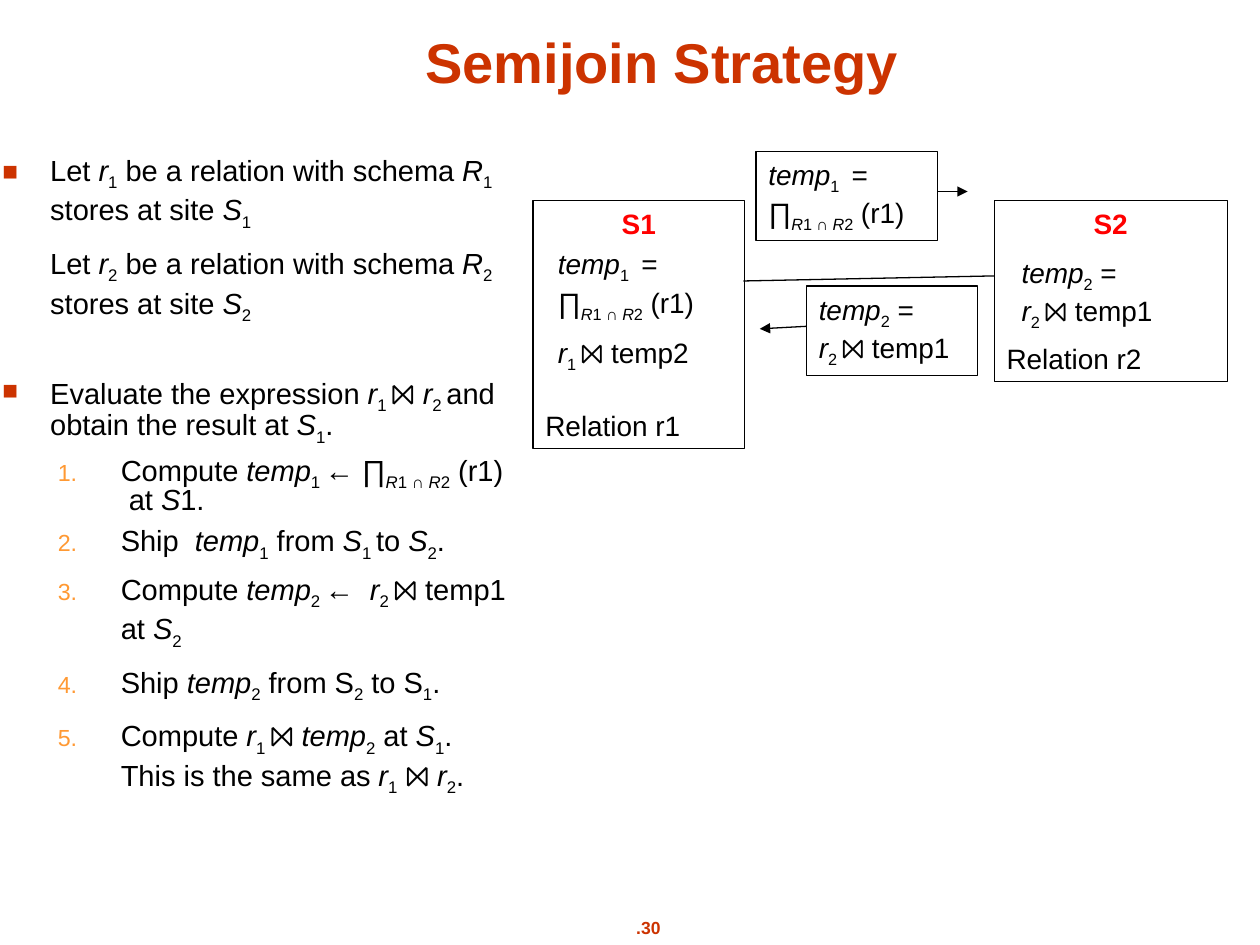
from lxml.etree import SubElement
from pptx import Presentation
from pptx.dml.color import RGBColor
from pptx.enum.shapes import MSO_CONNECTOR as Connector, MSO_SHAPE as Shape
from pptx.enum.text import MSO_ANCHOR as Anchor, MSO_AUTO_SIZE as Fit, PP_ALIGN as Align
from pptx.oxml.ns import qn
from pptx.util import Inches, Pt

COLUMNS, ROWS = 100, 75
CELL = Inches(0.1)
BLACK, RED, RUST, ORANGE = "000000", "FF0000", "CC3300", "FF9933"

PROJECTION = ["*temp*_1 _ =", "∏_*R*1 ∩ *R*2_ (r1)"]
REDUCTION = ["*temp*_2_ =", "*r*_2 _⨝ temp1"]
RELATIONS = [
    ("Let *r*_1_ be a relation with schema *R*_1_ stores at site *S*_1_", True, 1, 0),
    ("Let *r*_2_ be a relation with schema *R*_2_ stores at site *S*_2_", False, 1, 7.9),
    ("Evaluate the expression *r*_1 _⨝ *r*_2 _and obtain the result at *S*_1_.", True, 0.8, 31),
]
STEPS = [
    ("Compute *temp*_1 _← ∏_*R*1 ∩ *R*2_ (r1)  at *S*1.", 0.8),
    ("Ship  *temp*_1_ from *S*_1 _to *S*_2_.", 0.7),
    ("Compute *temp*_2 _←  *r*_2 _⨝ temp1 at *S*_2_", 1),
    ("Ship *temp*_2_ from S_2_ to S_1_.", 1),
    ("Compute *r*_1 _⨝ *temp*_2_ at *S*_1_. This is the same as *r*_1_ ⨝ *r*_2_.", 1),
]


def color(value):
    return RGBColor.from_string(value)


def cells(*counts):
    return [round(count * CELL) for count in counts]


def write(para, text, size=16, ink=BLACK, bold=False, align=Align.LEFT, before=0, spacing=1):
    para.alignment = align
    para.space_before = Pt(before)
    para.line_spacing = spacing
    for part_index, part in enumerate(text.split("_")):
        for piece_index, piece in enumerate(part.split("*")):
            if not piece:
                continue
            span = para.add_run()
            span.text = piece
            font = span.font
            font.name, font.size, font.bold = "Arial", Pt(size), bold
            font.italic = piece_index % 2 == 1
            font.color.rgb = color(ink)
            if part_index % 2:
                font._element.set("baseline", "-25000")


def next_para(frame):
    first = frame.paragraphs[0]
    return frame.add_paragraph() if first.runs else first


def indent(para, margin, hang):
    properties = para._p.get_or_add_pPr()
    properties.set("marL", str(Inches(margin)))
    properties.set("indent", str(-Inches(hang)))
    return properties


def add_bullet(properties, ink, percent, tag, **attributes):
    tint = SubElement(properties, qn("a:buClr"))
    SubElement(tint, qn("a:srgbClr"), val=ink)
    SubElement(properties, qn("a:buSzPct"), val=str(percent * 1000))
    SubElement(properties, qn("a:buFont"), typeface="Arial")
    SubElement(properties, qn(tag), **attributes)


def add_text(page, place, lines=(), fit=Fit.SHAPE_TO_FIT_TEXT, wrap=True, **style):
    box = page.shapes.add_textbox(*cells(*place))
    frame = box.text_frame
    frame.word_wrap = wrap
    frame.auto_size = fit
    for line in lines:
        write(next_para(frame), line, **style)
    return frame


def add_frame(page, place, lines=()):
    box = page.shapes.add_shape(Shape.RECTANGLE, *cells(*place))
    box.shadow.inherit = False
    box.fill.background()
    box.line.color.rgb = color(BLACK)
    box.line.width = Pt(0.75)
    frame = box.text_frame
    frame.word_wrap = True
    frame.auto_size = Fit.SHAPE_TO_FIT_TEXT
    frame.vertical_anchor = Anchor.TOP
    for line in lines:
        write(next_para(frame), line)
    return frame


def add_site(page, place, name, relation, gap):
    frame = add_frame(page, place)
    write(next_para(frame), name, ink=RED, bold=True, align=Align.CENTER)
    write(next_para(frame), relation, before=gap)


def add_line(page, ends, arrow=True):
    line = page.shapes.add_connector(Connector.STRAIGHT, *cells(*ends))
    line.line.color.rgb = color(BLACK)
    line.line.width = Pt(0.75)
    if arrow:
        SubElement(line.line._get_or_add_ln(), qn("a:tailEnd"), type="triangle")
    SubElement(line._element.spPr, qn("a:effectLst"))


def add_title(page, place, text):
    title = page.shapes.title
    title.left, title.top, title.width, title.height = cells(*place)
    title.text_frame.vertical_anchor = Anchor.BOTTOM
    write(title.text_frame.paragraphs[0], text, size=32, ink=RUST, bold=True, align=Align.CENTER)


def add_outline(page, place):
    frame = add_text(page, place, fit=Fit.NONE)
    for text, marked, spacing, before in RELATIONS:
        para = next_para(frame)
        properties = indent(para, 0.38, 0.38 if marked else 0)
        if marked:
            add_bullet(properties, RUST, 90, "a:buChar", char="■")
        write(para, text, size=16.6, before=before, spacing=spacing)
    for text, spacing in STEPS:
        para = next_para(frame)
        para.level = 1
        add_bullet(indent(para, 0.94, 0.5), ORANGE, 80, "a:buAutoNum", type="arabicPeriod")
        write(para, text, size=16.6, before=7.9, spacing=spacing)


def main():
    deck = Presentation()
    deck.slide_width, deck.slide_height = cells(COLUMNS, ROWS)
    page = deck.slides.add_slide(deck.slide_layouts[5])
    add_text(page, (46.9, 72.3, 9.1, 2.7), [".30"], wrap=False,
             size=10, ink=RUST, bold=True, align=Align.CENTER)
    add_title(page, (8.4, 1.3, 88.3, 6.7), "Semijoin Strategy")
    add_outline(page, (-0.8, 11.6, 42.1, 53.7))
    add_site(page, (42.3, 15.9, 16.8, 19.7), "S1", "Relation r1", 96.5)
    add_site(page, (78.9, 15.9, 18.5, 14.4), "S2", "Relation r2", 58)
    add_text(page, (43.3, 19.1, 15.8, 7.1), PROJECTION)
    add_text(page, (80.1, 19.8, 15.8, 7.1), REDUCTION)
    add_frame(page, (60, 12, 14.4, 7.1), PROJECTION)
    add_line(page, (74.4, 15.2, 76.8, 15.2))
    add_line(page, (59, 22.3, 78.9, 21.9), arrow=False)
    add_frame(page, (64, 22.7, 13.6, 7.1), REDUCTION)
    add_line(page, (64, 25.9, 60.3, 26.1))
    add_text(page, (43.3, 26.1, 14.4, 4.1), ["*r*_1 _⨝ temp2"])
    deck.save("out.pptx")


if __name__ == "__main__":
    main()
